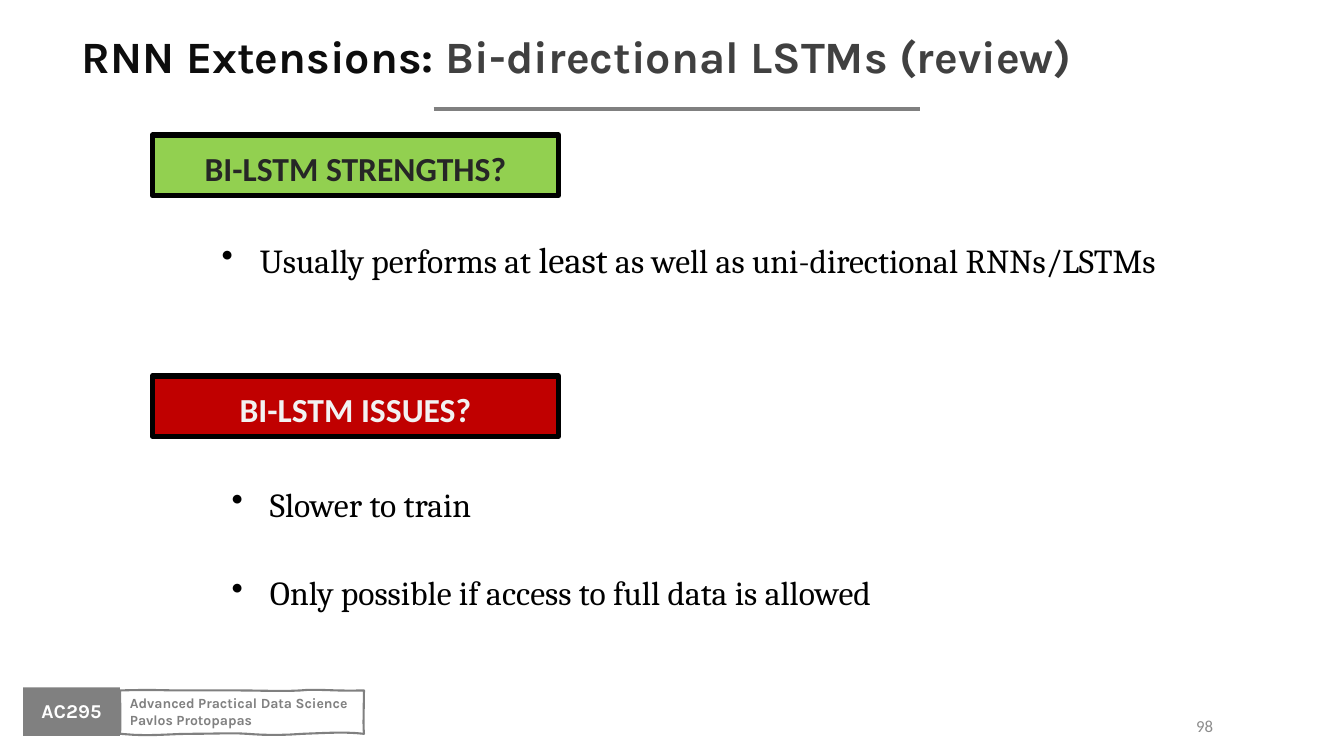
from dataclasses import dataclass

import pptx
import pptx.dml.color
import pptx.enum.shapes
import pptx.enum.text
import pptx.oxml
import pptx.oxml.ns
import pptx.util
from lxml import etree

ALIGN = pptx.enum.text.PP_ALIGN
ANCHOR = pptx.enum.text.MSO_ANCHOR
RECTANGLE = pptx.enum.shapes.MSO_SHAPE.RECTANGLE
WIDTH, HEIGHT = pptx.util.Inches(13.33), pptx.util.Inches(7.5)
GREY, BLACK = "808080", "000000"
HANGING_INDENT = pptx.util.Inches(0.38)
CURVE_STEPS = 6


@dataclass(frozen=True)
class Area:
    """A rectangle in percent of the slide's width and height."""
    left: float
    top: float
    width: float
    height: float

    def emu(self) -> tuple:
        return across(self.left), down(self.top), across(self.width), down(self.height)


@dataclass(frozen=True)
class Style:
    font: str
    size: float
    color: str
    bold: bool = False
    align: ALIGN = ALIGN.LEFT
    line_spacing: float = 1.0
    space_before: float = 0
    bullet: str = ""


@dataclass(frozen=True)
class Span:
    """A stretch of text that may differ from its paragraph's style."""
    text: str
    size: float | None = None
    color: str | None = None


@dataclass(frozen=True)
class Section:
    heading: str
    heading_top: float
    fill: str
    heading_color: str
    points_area: Area
    points: list


def across(percent: float) -> int:
    return round(WIDTH * percent / 100)


def down(percent: float) -> int:
    return round(HEIGHT * percent / 100)


def rgb(color: str) -> pptx.dml.color.RGBColor:
    return pptx.dml.color.RGBColor.from_string(color)


def write(frame, paragraphs: list, style: Style, anchor=ANCHOR.TOP) -> None:
    """Fill a text frame; each paragraph is a list of spans."""
    frame.word_wrap = True
    frame.vertical_anchor = anchor
    for index, spans in enumerate(paragraphs):
        paragraph = frame.add_paragraph() if index else frame.paragraphs[0]
        paragraph.alignment = style.align
        paragraph.line_spacing = style.line_spacing
        paragraph.space_before = pptx.util.Pt(style.space_before if index else 0)
        if style.bullet:
            properties = paragraph._p.get_or_add_pPr()
            properties.set("marL", str(HANGING_INDENT))
            properties.set("indent", str(-HANGING_INDENT))
            etree.SubElement(properties, pptx.oxml.ns.qn("a:buChar"), char=style.bullet)
        paragraph.font.name = style.font
        paragraph.font.size = pptx.util.Pt(style.size)
        paragraph.font.bold = style.bold
        paragraph.font.color.rgb = rgb(style.color)
        for span in spans:
            run = paragraph.add_run()
            run.text = span.text
            if span.size:
                run.font.size = pptx.util.Pt(span.size)
            if span.color:
                run.font.color.rgb = rgb(span.color)


def add_text(slide, area: Area, paragraphs: list, style: Style, anchor=ANCHOR.TOP) -> None:
    write(slide.shapes.add_textbox(*area.emu()).text_frame, paragraphs, style, anchor)


def paint(shape, fill: str | None, line: str | None, line_width: float = 0) -> None:
    shape.shadow.inherit = False
    if fill:
        shape.fill.solid()
        shape.fill.fore_color.rgb = rgb(fill)
    else:
        shape.fill.background()
    if line:
        shape.line.color.rgb = rgb(line)
        shape.line.width = pptx.util.Pt(line_width)
    else:
        shape.line.fill.background()


def add_box(slide, area: Area, fill: str, line: str | None = None, line_width: float = 0):
    box = slide.shapes.add_shape(RECTANGLE, *area.emu())
    paint(box, fill, line, line_width)
    return box


def add_rule(slide, left: float, right: float, top: float) -> None:
    rule = slide.shapes.add_connector(
        pptx.enum.shapes.MSO_CONNECTOR.STRAIGHT,
        across(left), down(top), across(right), down(top))
    rule.line.color.rgb = rgb(GREY)
    rule.line.width = pptx.util.Pt(3)
    etree.SubElement(rule._element.spPr, pptx.oxml.ns.qn("a:effectLst"))


def curve_points(start: tuple, curves: list) -> list:
    """Sample a chain of cubic curves, each given as two controls and an end."""
    points = []
    for first, second, end in curves:
        for step in range(1, CURVE_STEPS + 1):
            t = step / CURVE_STEPS
            weights = ((1 - t) ** 3, 3 * t * (1 - t) ** 2, 3 * t * t * (1 - t), t ** 3)
            corners = (start, first, second, end)
            x, y = (sum(w * c[axis] for w, c in zip(weights, corners)) for axis in (0, 1))
            points.append((across(x), down(y)))
        start = end
    return points


FRAME_START = (8.93, 91.33)
FRAME_CURVES = [
    ((11.03, 91.2), (12.38, 91.33), (13.28, 91.33)),
    ((14.18, 91.33), (16.58, 91.33), (17.78, 91.33)),
    ((19.05, 91.33), (21.23, 91.47), (22.36, 91.33)),
    ((23.48, 91.07), (24.83, 91.47), (27.08, 91.33)),
    ((27.08, 93.47), (27.01, 95.87), (27.08, 97.07)),
    ((25.73, 96.8), (24.61, 96.93), (22.51, 97.07)),
    ((20.48, 97.33), (19.43, 97.2), (18.38, 97.07)),
    ((17.25, 96.93), (15.83, 97.07), (14.18, 97.07)),
    ((12.45, 97.07), (11.18, 97.47), (8.93, 97.07)),
    ((9, 95.6), (8.93, 92.93), FRAME_START),
]

TITLE = Style("Karla", 32, "0D0D0D", bold=True, align=ALIGN.CENTER)
COURSE_CODE = Style("Karla", 14, "FFFFFF", bold=True, align=ALIGN.CENTER, line_spacing=0.9)
COURSE_NAME = Style("Karla", 10, GREY, bold=True)
PAGE_NUMBER = Style("Calibri", 12, "8C8C8C", align=ALIGN.RIGHT)
POINTS = Style("Cambria", 24, BLACK, line_spacing=1.5, space_before=20, bullet="•")

SECTIONS = [
    Section("BI-LSTM STRENGTHS?", 17.87, "92D050", "262626",
            Area(15.75, 27.87, 76.59, 18.8),
            [[Span("Usually performs at "), Span("least", size=26),
              Span(" as well as uni-directional RNNs/LSTMs")]]),
    Section("BI-LSTM ISSUES?", 49.73, "C00000", "F2F2F2",
            Area(16.5, 60.67, 71.19, 29.73),
            [[Span("Slower to train")],
             [Span("Only possible if access to full data is allowed")]]),
]


def add_footer(slide) -> None:
    add_box(slide, Area(1.73, 90.93, 7.2, 6.4), GREY)
    add_text(slide, Area(0, 92.13, 10.65, 7.47), [[Span("AC295")]], COURSE_CODE)
    builder = slide.shapes.build_freeform(across(FRAME_START[0]), down(FRAME_START[1]))
    builder.add_line_segments(curve_points(FRAME_START, FRAME_CURVES), close=True)
    course_frame = builder.convert_to_shape()
    paint(course_frame, None, GREY, 1.5)
    write(course_frame.text_frame,
          [[Span("Advanced Practical Data Science")], [Span("Pavlos Protopapas")]],
          COURSE_NAME)
    add_text(slide, Area(67.67, 93.33, 23.33, 5.33), [[Span("98")]], PAGE_NUMBER, ANCHOR.MIDDLE)


def add_section(slide, section: Section) -> None:
    heading = add_box(slide, Area(11.33, section.heading_top, 30.23, 8),
                      section.fill, BLACK, 3.75)
    write(heading.text_frame, [[Span(section.heading)]],
          Style("Calibri", 24, section.heading_color, bold=True,
                align=ALIGN.CENTER, line_spacing=1.2))
    add_text(slide, section.points_area, section.points, POINTS)


def main() -> None:
    deck = pptx.Presentation()
    deck.slide_width, deck.slide_height = WIDTH, HEIGHT
    slide = deck.slides.add_slide(deck.slide_layouts[6])
    add_rule(slide, 32.26, 68.49, 14.4)
    add_footer(slide)
    for section in SECTIONS:
        add_section(slide, section)
    add_text(slide, Area(2.85, 3.2, 80.2, 16.93),
             [[Span("RNN Extensions: "), Span("Bi-directional LSTMs (review)", color="404040")]],
             TITLE)
    deck.save("out.pptx")


if __name__ == "__main__":
    main()
